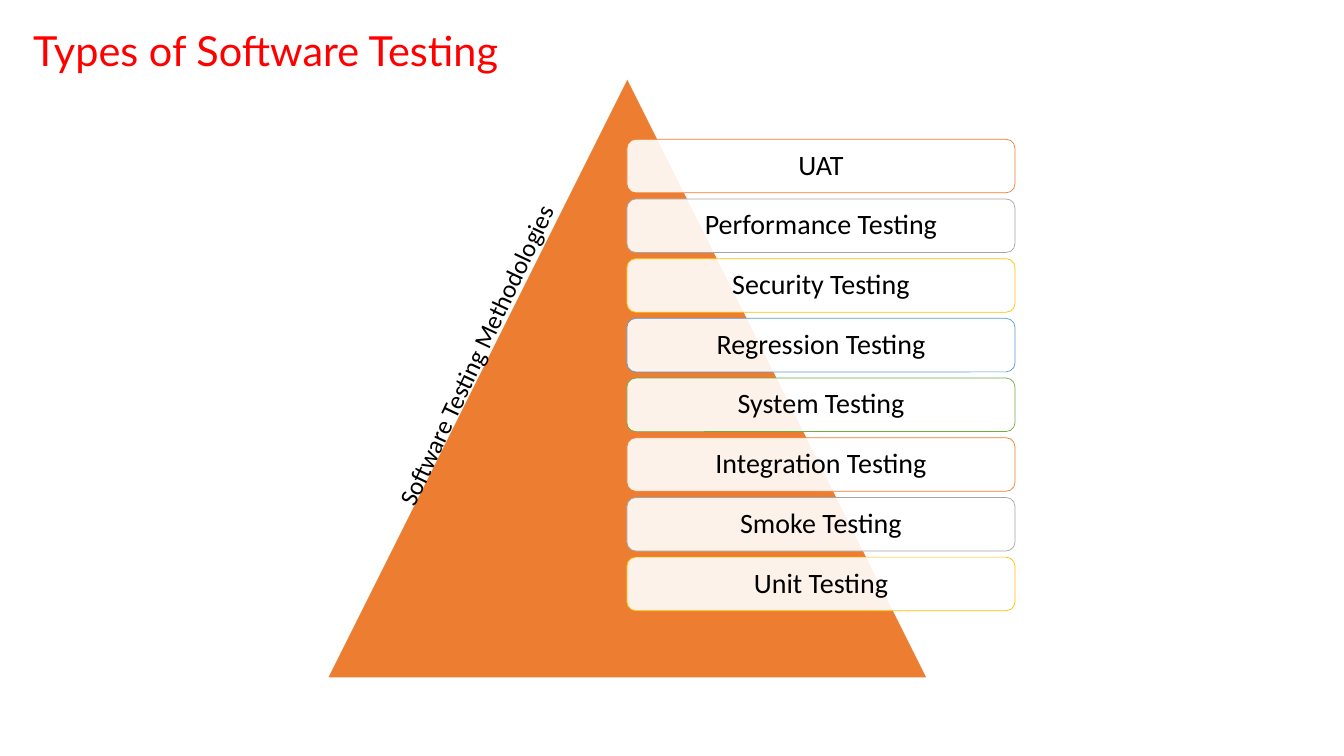
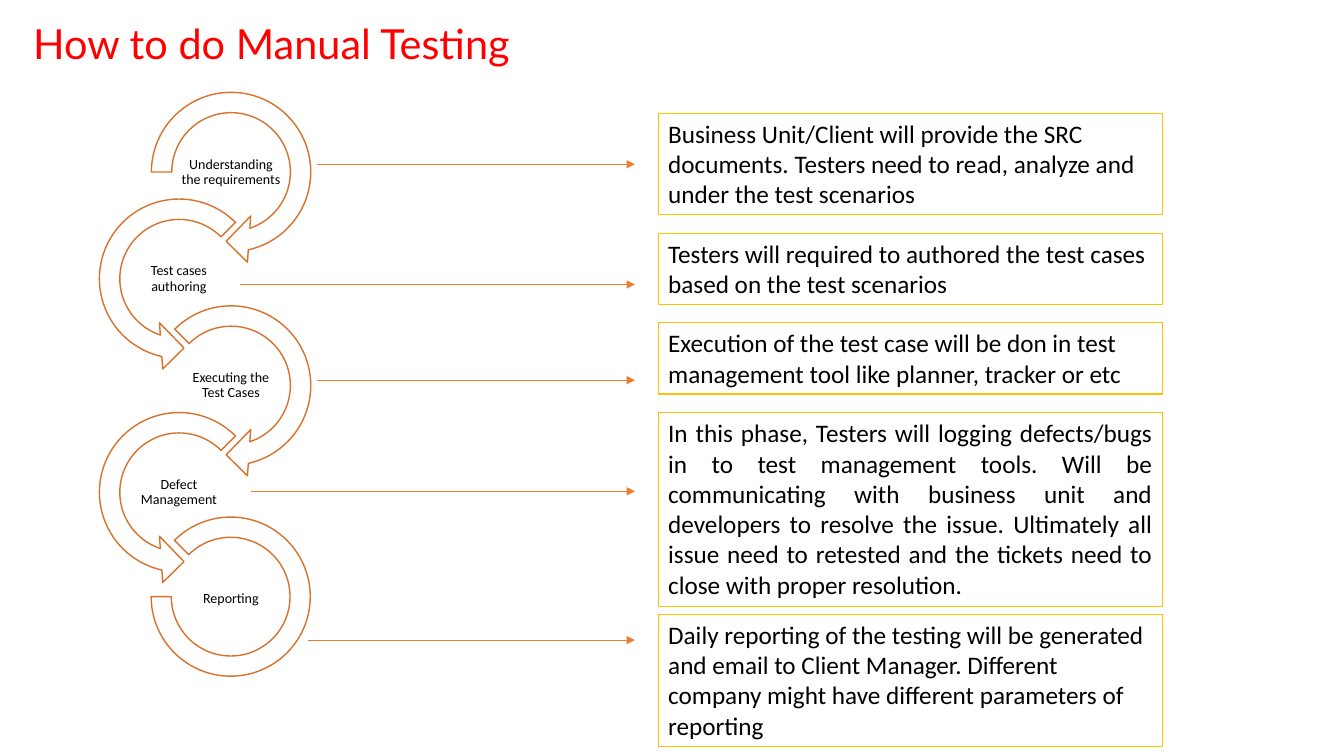
import dataclasses

import lxml.etree
import pptx
import pptx.dml.color
import pptx.enum.dml
import pptx.enum.shapes
import pptx.enum.text
import pptx.oxml.ns
import pptx.util

Cm = pptx.util.Cm
Pt = pptx.util.Pt
qn = pptx.oxml.ns.qn
KIND = pptx.enum.shapes.MSO_SHAPE
ALIGN = pptx.enum.text.PP_ALIGN
ANCHOR = pptx.enum.text.MSO_ANCHOR
FIT = pptx.enum.text.MSO_AUTO_SIZE

# ---- Content ----
TYPES_TITLE = "Types of Software Testing"
PYRAMID_LABEL = "Software Testing Methodologies"
TEST_TYPES = ["UAT", "Performance Testing", "Security Testing", "Regression Testing",
              "System Testing", "Integration Testing", "Smoke Testing", "Unit Testing"]

MANUAL_TITLE = "How to do Manual Testing"
# Each step: label, explanation, alignment, box top and height, arrow start x and y (cm)
STEPS = [
    ("Understanding the requirements",
     "Business Unit/Client will provide the SRC documents. Testers need to read, "
     "analyze and under the test scenarios",
     ALIGN.LEFT, 2.85, 2.56, 7.98, 4.14),
    ("Test cases authoring",
     "Testers will required to authored the test cases based on the test scenarios",
     ALIGN.LEFT, 5.88, 1.8, 6.05, 7.17),
    ("Executing the Test Cases",
     "Execution of the test case will be don in test management tool like planner, "
     "tracker or etc",
     ALIGN.LEFT, 8.13, 1.8, 7.98, 9.58),
    ("Defect Management",
     "In this phase, Testers will logging defects/bugs in to test management tools. "
     "Will be communicating with business unit and developers to resolve the issue. "
     "Ultimately all issue need to retested and the tickets need to close with proper "
     "resolution.",
     ALIGN.JUSTIFY, 10.4, 4.88, 6.32, 12.38),
    ("Reporting",
     "Daily reporting of the testing will be generated and email to Client Manager. "
     "Different company might have different parameters of reporting",
     ALIGN.LEFT, 15.48, 3.33, 7.77, 16.13),
]


# ---- Theme ----
@dataclasses.dataclass(frozen=True)
class Theme:
    title: str = "FF0000"
    text: str = "000000"
    paper: str = "FFFFFF"
    orange: str = "ED7D31"
    ring: str = "D7712C"
    gold: str = "FFC000"
    accents: tuple = ("ED7D31", "A5A5A5", "FFC000", "5B9BD5", "70AD47")
    title_font: str = "Lato"
    body_font: str = "Calibri"
    title_size: float = 29.6
    pill_size: float = 20
    body_size: float = 18
    label_size: float = 10


THEME = Theme()


# ---- Helpers ----
def rgb(code):
    return pptx.dml.color.RGBColor.from_string(code)


def apply(target, **values):
    for name, value in values.items():
        setattr(target, name, value)


def write(shape, text, size, align=ALIGN.LEFT, spacing=None, font=THEME.body_font,
          color=THEME.text, **frame_format):
    frame = shape.text_frame
    apply(frame, text=text, word_wrap=True, **frame_format)
    paragraph = frame.paragraphs[0]
    apply(paragraph, alignment=align, line_spacing=spacing)
    run_font = paragraph.runs[0].font
    apply(run_font, name=font, size=Pt(size))
    run_font.color.rgb = rgb(color)


def draw(slide, kind, box, fill, line=None, width=1.0, opacity=None, adjust=()):
    shape = slide.shapes.add_shape(kind, *map(Cm, box))
    shape.shadow.inherit = False
    shape.fill.solid()
    shape.fill.fore_color.rgb = rgb(fill)
    if opacity:
        tint = shape.element.spPr.find(qn("a:solidFill")).find(qn("a:srgbClr"))
        lxml.etree.SubElement(tint, qn("a:alpha")).set("val", str(opacity * 1000))
    if line:
        shape.line.color.rgb = rgb(line)
        shape.line.width = Pt(width)
    else:
        shape.line.fill.background()
    for index, value in enumerate(adjust):
        shape.adjustments[index] = value
    return shape


def draw_arrow(slide, start, end, y):
    arrow = slide.shapes.add_connector(pptx.enum.shapes.MSO_CONNECTOR.STRAIGHT,
                                       Cm(start), Cm(y), Cm(end), Cm(y))
    arrow.line.color.rgb = rgb(THEME.orange)
    arrow.line.width = Pt(0.5)
    properties = arrow.element.spPr
    lxml.etree.SubElement(properties.find(qn("a:ln")), qn("a:tailEnd")).set("type", "triangle")
    lxml.etree.SubElement(properties, qn("a:effectLst"))


def add_titled_slide(deck, title, top):
    slide = deck.slides.add_slide(deck.slide_layouts[5])
    heading = slide.shapes.title
    apply(heading, left=Cm(0.58), top=Cm(top), width=Cm(32), height=Cm(1.5))
    write(heading, title, THEME.title_size, spacing=0.9, font=THEME.title_font,
          color=THEME.title, vertical_anchor=ANCHOR.MIDDLE, auto_size=FIT.NONE)
    return slide


# ---- Slide: pyramid of test types ----
def build_types(deck):
    slide = add_titled_slide(deck, TYPES_TITLE, 0.58)
    draw(slide, KIND.ISOSCELES_TRIANGLE, (8.28, 2.01, 15.06, 15.06), THEME.orange)

    first_top, last_top = 3.51, 14.04
    pitch = (last_top - first_top) / (len(TEST_TYPES) - 1)
    for index, test_type in enumerate(TEST_TYPES):
        accent = THEME.accents[index % len(THEME.accents)]
        pill = draw(slide, KIND.ROUNDED_RECTANGLE,
                    (15.8, first_top + index * pitch, 9.78, 1.35),
                    THEME.paper, accent, 0.5, opacity=90)
        write(pill, test_type, THEME.pill_size, ALIGN.CENTER, 0.9,
              vertical_anchor=ANCHOR.MIDDLE)

    # Label running up the left edge
    edge_label = slide.shapes.add_textbox(Cm(12.14), Cm(1.6), Cm(1.27), Cm(11.94))
    edge_label.rotation = 25.2
    write(edge_label, PYRAMID_LABEL, THEME.body_size, auto_size=FIT.SHAPE_TO_FIT_TEXT)
    edge_label.element.txBody.find(qn("a:bodyPr")).set("vert", "vert270")


# ---- Slide: chain of manual testing steps ----
RING_SIZE, RING_PITCH, RING_TOP = 4.67, 2.69, 2.0
RING_LEFTS = (3.49, 2.18)


def draw_ring(slide, index):
    left, top = RING_LEFTS[index % 2], RING_TOP + index * RING_PITCH
    box = (left, top, RING_SIZE, RING_SIZE)
    if index == len(STEPS) - 1:
        kind, adjust = KIND.BLOCK_ARC, (135, 108, 0.127)
        box = (left + 0.32, top + 0.27, 4.01, 4.01)
    elif index % 2:
        kind, adjust = KIND.LEFT_CIRCULAR_ARROW, (0.11, 11.42, 63, 189, 0.125)
    else:
        tail = 135 if index else 108
        kind, adjust = KIND.CIRCULAR_ARROW, (0.11, 11.42, 45, tail, 0.125)
    draw(slide, kind, box, THEME.paper, THEME.ring, adjust=adjust)
    return left, top


def build_manual(deck):
    slide = add_titled_slide(deck, MANUAL_TITLE, 0.41)
    margins = {f"margin_{side}": Cm(0.02) for side in ("left", "right", "top", "bottom")}
    for index, (label, note, align, note_top, note_height, start, y) in enumerate(STEPS):
        left, top = draw_ring(slide, index)
        step_label = slide.shapes.add_textbox(Cm(left + 1.03), Cm(top + 1.69), Cm(2.6), Cm(1.3))
        write(step_label, label, THEME.label_size, ALIGN.CENTER, 0.9,
              vertical_anchor=ANCHOR.MIDDLE, **margins)
        draw_arrow(slide, start, 16.0, y)
        explanation = draw(slide, KIND.RECTANGLE, (16.59, note_top, 12.7, note_height),
                           THEME.paper, THEME.gold, 0.75)
        write(explanation, note, THEME.body_size, align,
              vertical_anchor=ANCHOR.TOP, auto_size=FIT.SHAPE_TO_FIT_TEXT)


def main():
    deck = pptx.Presentation()
    apply(deck, slide_width=Cm(33.87), slide_height=Cm(19.05))
    build_types(deck)
    build_manual(deck)
    deck.save("out.pptx")


if __name__ == "__main__":
    main()
